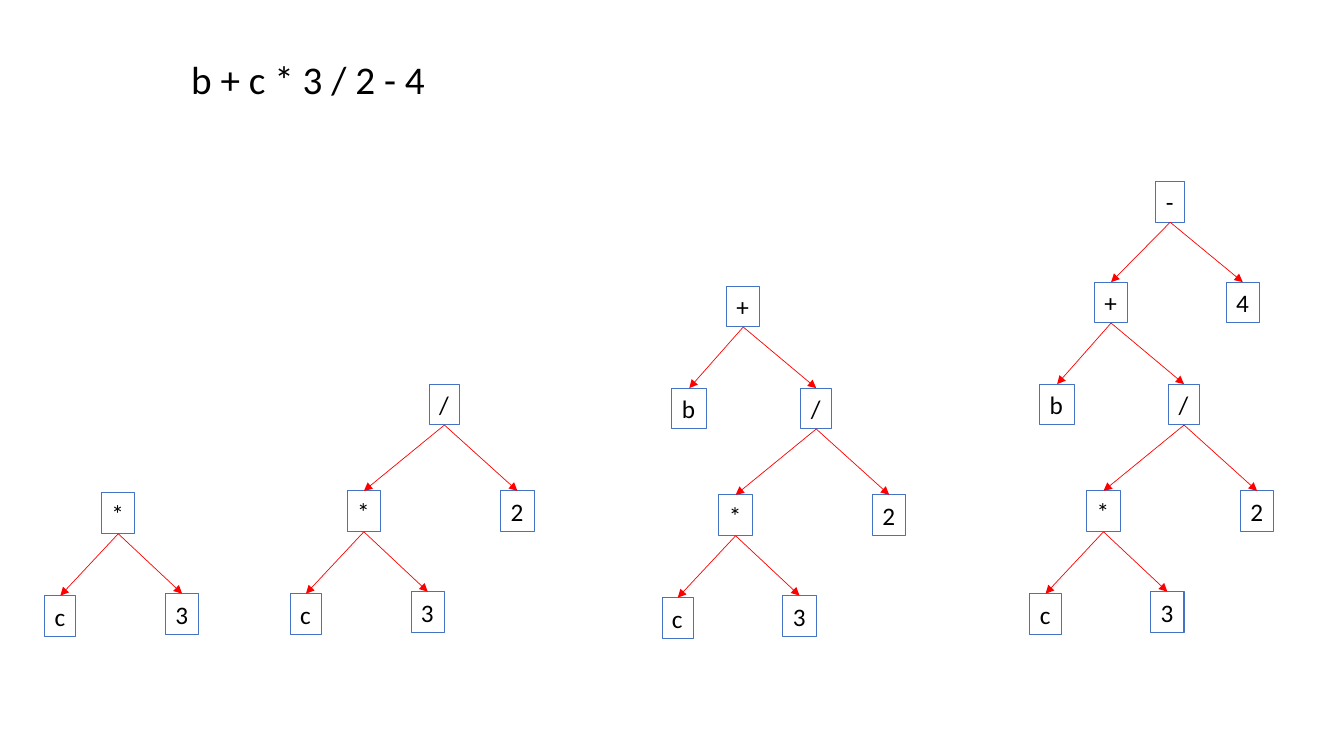
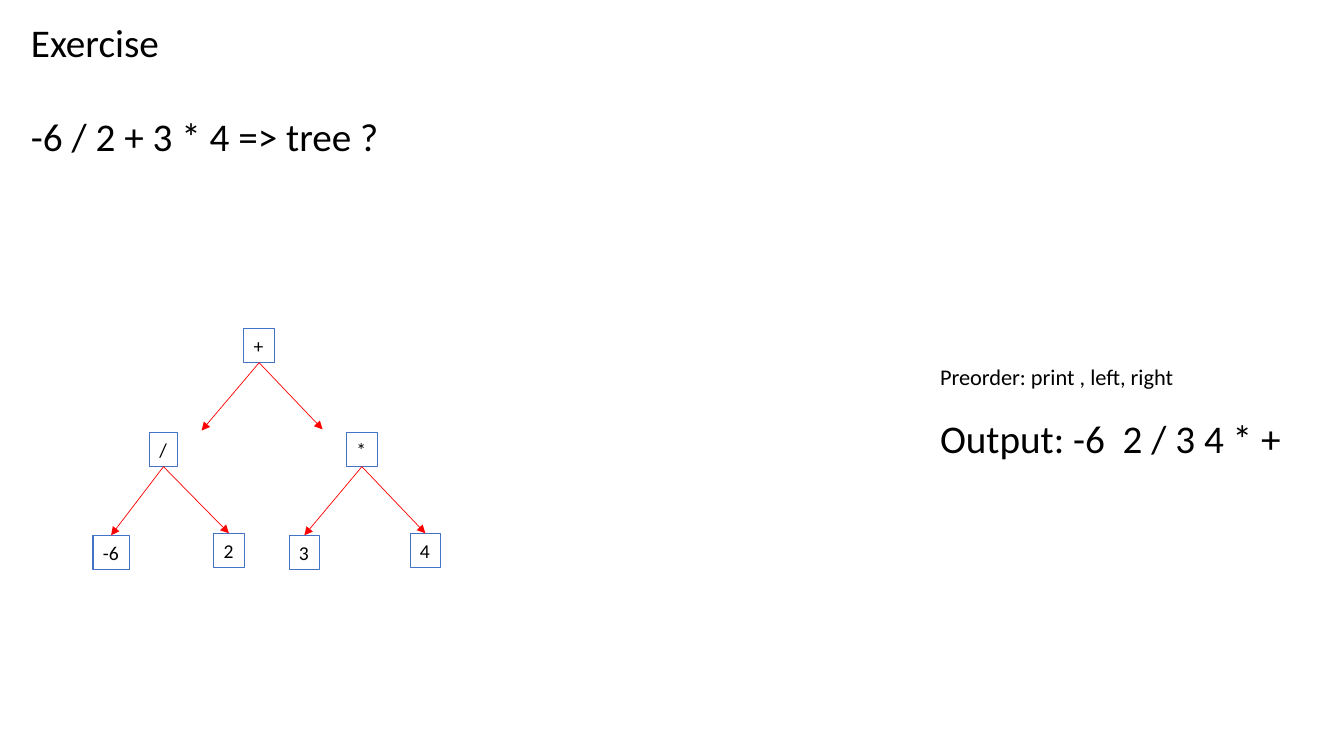
from dataclasses import dataclass
from typing import Optional

import lxml.etree
import pptx
import pptx.dml.color
import pptx.enum.shapes
import pptx.enum.text
import pptx.oxml.ns
import pptx.shapes.autoshape
import pptx.slide
import pptx.text.text
import pptx.util
from pptx.util import Cm

BLACK = pptx.dml.color.RGBColor(0x00, 0x00, 0x00)
BLUE = pptx.dml.color.RGBColor(0x44, 0x72, 0xC4)
RED = pptx.dml.color.RGBColor(0xFF, 0x00, 0x00)
FONT_NAME = "Calibri"
HEADING_SIZE = 28
BOTTOM_SITE = 2
TOP_SITE = 0


@dataclass(frozen=True)
class Branch:
    across: float
    down: float
    node: "Node"
    tip: Optional[tuple[float, float]] = None


@dataclass(frozen=True)
class Node:
    label: str
    branches: tuple[Branch, ...] = ()


@dataclass(frozen=True)
class NodeStyle:
    font_size: int
    height: float
    default_width: float
    widths: dict[str, float]


@dataclass(frozen=True)
class Caption:
    left: float
    top: float
    width: float
    height: float
    lines: tuple[str, ...]
    font_size: int = HEADING_SIZE
    wrap: bool = False
    line_gap: int = 0


LARGE_NODES = NodeStyle(18, 1.03, 0.84, {"c": 0.79, "/": 0.77, "b": 0.87, "-": 0.72})
SMALL_NODES = NodeStyle(14, 0.86, 0.77, {"/": 0.71, "-6": 0.91})

PRODUCT = Node("*", (Branch(-1.46, 2.59, Node("c")), Branch(1.61, 2.54, Node("3"))))
QUOTIENT = Node("/", (Branch(-2.03, 2.69, PRODUCT), Branch(1.84, 2.69, Node("2"))))
SUM = Node("+", (Branch(-1.36, 2.57, Node("b")), Branch(1.84, 2.57, QUOTIENT)))
DIFFERENCE = Node("-", (Branch(-1.49, 2.54, SUM), Branch(1.83, 2.54, Node("4"))))
GROWING_TREES = (
    (2.98, 12.42, PRODUCT),
    (11.2, 9.68, QUOTIENT),
    (18.73, 7.21, SUM),
    (29.49, 4.57, DIFFERENCE),
)

EXERCISE_QUOTIENT = Node(
    "/", (Branch(-1.32, 2.59, Node("-6")), Branch(1.65, 2.54, Node("2")))
)
EXERCISE_PRODUCT = Node(
    "*", (Branch(-1.45, 2.59, Node("3")), Branch(1.6, 2.54, Node("4")))
)
EXERCISE_TREE = Node(
    "+",
    (
        Branch(-2.41, 2.62, EXERCISE_QUOTIENT, tip=(-1.45, 2.57)),
        Branch(2.59, 2.62, EXERCISE_PRODUCT, tip=(1.6, 2.54)),
    ),
)

EXPRESSION = Caption(4.57, 1.27, 6.96, 1.45, ("b + c * 3 / 2 - 4",))
EXERCISE_CAPTIONS = (
    Caption(
        0.53, 0.33, 9.4, 3.84, ("Exercise", "-6 / 2 + 3 * 4 => tree ?"), line_gap=34
    ),
    Caption(23.44, 10.31, 9.45, 1.45, ("Output: -6  2 / 3 4 * +",)),
    Caption(
        23.44, 9.02, 7.7, 0.94, ("Preorder: print , left, right",), font_size=16, wrap=True
    ),
)


def format_text(
    text_frame: pptx.text.text.TextFrame, font_size: int, wrap: bool = False
) -> None:
    text_frame.word_wrap = wrap
    text_frame.auto_size = pptx.enum.text.MSO_AUTO_SIZE.SHAPE_TO_FIT_TEXT
    for paragraph in text_frame.paragraphs:
        for run in paragraph.runs:
            run.font.name = FONT_NAME
            run.font.size = pptx.util.Pt(font_size)
            run.font.color.rgb = BLACK


def add_caption(slide: pptx.slide.Slide, caption: Caption) -> None:
    text_frame = slide.shapes.add_textbox(
        Cm(caption.left), Cm(caption.top), Cm(caption.width), Cm(caption.height)
    ).text_frame
    text_frame.text = "\n".join(caption.lines)
    for paragraph in text_frame.paragraphs[1:]:
        paragraph.space_before = pptx.util.Pt(caption.line_gap)
    format_text(text_frame, caption.font_size, caption.wrap)


def add_arrow(
    slide: pptx.slide.Slide,
    parent: pptx.shapes.autoshape.Shape,
    child: pptx.shapes.autoshape.Shape,
    tip: Optional[tuple[float, float]],
) -> None:
    end_x, end_y = tip or (0, 0)
    connector = slide.shapes.add_connector(
        pptx.enum.shapes.MSO_CONNECTOR.STRAIGHT, 0, 0, Cm(end_x), Cm(end_y)
    )
    connector.begin_connect(parent, BOTTOM_SITE)
    if tip is None:
        connector.end_connect(child, TOP_SITE)
    connector.line.color.rgb = RED
    connector.line.width = pptx.util.Pt(0.5)
    properties = connector._element.spPr
    outline = properties.find(pptx.oxml.ns.qn("a:ln"))
    lxml.etree.SubElement(outline, pptx.oxml.ns.qn("a:tailEnd"), type="triangle")
    lxml.etree.SubElement(properties, pptx.oxml.ns.qn("a:effectLst"))


def add_tree(
    slide: pptx.slide.Slide, node: Node, center: float, top: float, style: NodeStyle
) -> pptx.shapes.autoshape.Shape:
    width = style.widths.get(node.label, style.default_width)
    shape = slide.shapes.add_shape(
        pptx.enum.shapes.MSO_SHAPE.RECTANGLE,
        Cm(center - width / 2),
        Cm(top),
        Cm(width),
        Cm(style.height),
    )
    shape.shadow.inherit = False
    shape.fill.background()
    shape.line.color.rgb = BLUE
    shape.line.width = pptx.util.Pt(0.75)
    shape.text_frame.text = node.label
    format_text(shape.text_frame, style.font_size)
    for branch in node.branches:
        child = add_tree(
            slide, branch.node, center + branch.across, top + branch.down, style
        )
        tip = branch.tip and (center + branch.tip[0], top + branch.tip[1])
        add_arrow(slide, shape, child, tip)
    return shape


def main() -> None:
    presentation = pptx.Presentation()
    presentation.slide_width = Cm(33.87)
    presentation.slide_height = Cm(19.05)
    blank_layout = presentation.slide_layouts[6]

    growth_slide = presentation.slides.add_slide(blank_layout)
    add_caption(growth_slide, EXPRESSION)
    for center, top, root in GROWING_TREES:
        add_tree(growth_slide, root, center, top, LARGE_NODES)

    exercise_slide = presentation.slides.add_slide(blank_layout)
    for caption in EXERCISE_CAPTIONS:
        add_caption(exercise_slide, caption)
    add_tree(exercise_slide, EXERCISE_TREE, 6.53, 8.28, SMALL_NODES)

    presentation.save("out.pptx")


if __name__ == "__main__":
    main()
